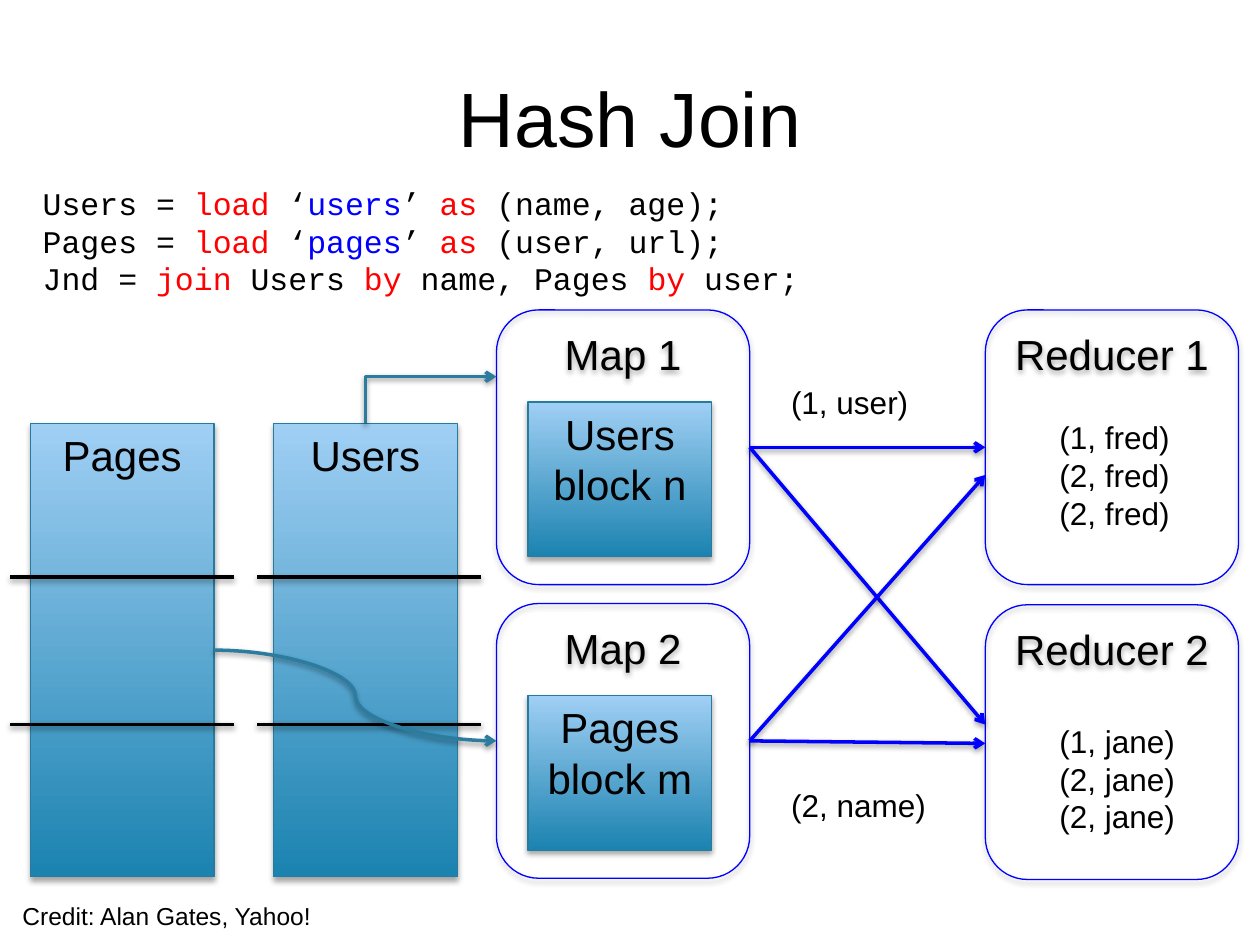
from lxml import etree
from pptx import Presentation
from pptx.dml.color import RGBColor
from pptx.enum.shapes import MSO_CONNECTOR, MSO_SHAPE
from pptx.enum.text import MSO_ANCHOR, MSO_AUTO_SIZE, PP_ALIGN
from pptx.oxml.ns import qn
from pptx.util import Inches, Pt

RECT, ROUND = MSO_SHAPE.RECTANGLE, MSO_SHAPE.ROUNDED_RECTANGLE
STRAIGHT, ELBOW, CURVE = MSO_CONNECTOR.STRAIGHT, MSO_CONNECTOR.ELBOW, MSO_CONNECTOR.CURVE
LEFT, CENTER = PP_ALIGN.LEFT, PP_ALIGN.CENTER
TOP, MIDDLE = MSO_ANCHOR.TOP, MSO_ANCHOR.MIDDLE
FIT_SHAPE = MSO_AUTO_SIZE.SHAPE_TO_FIT_TEXT
COLORS = {
    "text": "000000", "keyword": "FF0000", "string": "0000FF", "flow": "0000FF",
    "deep": "1B83B0", "light": "A0CFF4", "edge": "287A9E", "feed": "2C7C9F",
}
CODE = [
    [("Users = ", "text"), ("load", "keyword"), (" ‘", "text"), ("users", "string"),
     ("’ ", "text"), ("as", "keyword"), (" (name, age);", "text")],
    [("Pages = ", "text"), ("load", "keyword"), (" ‘", "text"), ("pages", "string"),
     ("’ ", "text"), ("as", "keyword"), (" (user, url);", "text")],
    [("Jnd = ", "text"), ("join", "keyword"), (" Users ", "text"), ("by", "keyword"),
     (" name, Pages ", "text"), ("by", "keyword"), (" user;", "text")],
]


def rgb(name):
    """Return the named colour."""
    return RGBColor.from_string(COLORS[name])


def add_run(p, text, size, font="Arial", color="text"):
    """Append a formatted run to a paragraph."""
    r = p.add_run()
    r.text = text
    for key, value in {"size": Pt(size), "name": font}.items():
        setattr(r.font, key, value)
    r.font.color.rgb = rgb(color)


def write(tf, lines, size, align):
    """Write one paragraph per line."""
    for i, line in enumerate(lines):
        p = tf.add_paragraph() if i else tf.paragraphs[0]
        p.alignment = align
        add_run(p, line, size)


def add_shadow(sp, alpha, distance):
    """Give a shape or connector a soft shadow falling straight down."""
    effects = etree.SubElement(sp._element.spPr, qn("a:effectLst"))
    shadow = etree.SubElement(effects, qn("a:outerShdw"), blurRad="40000",
                              dist=str(distance), dir="5400000", rotWithShape="0")
    color = etree.SubElement(shadow, qn("a:srgbClr"), val="000000")
    etree.SubElement(color, qn("a:alpha"), val=str(alpha * 1000))


def add_text(s, box, lines=(), size=18):
    """Add an unwrapped text box and return its text frame."""
    tf = s.shapes.add_textbox(*map(Inches, box)).text_frame
    for key, value in {"word_wrap": False, "auto_size": FIT_SHAPE}.items():
        setattr(tf, key, value)
    write(tf, lines, size, LEFT)
    return tf


def add_title(s, text):
    """Add the centred slide title."""
    tf = s.shapes.add_textbox(*map(Inches, (0.5, 0.3, 9, 1.25))).text_frame
    for key, value in {"word_wrap": True, "vertical_anchor": MIDDLE}.items():
        setattr(tf, key, value)
    write(tf, [text], 44, CENTER)


def add_code(s):
    """Add the coloured script as one paragraph with line breaks."""
    p = add_text(s, (0.24, 1.41, 6.41, 1.01)).paragraphs[0]
    for i, line in enumerate(CODE):
        if i:
            p.add_line_break()
        for text, color in line:
            add_run(p, text, 18, "Courier New", color)


def add_box(s, kind, box, lines, edge):
    """Add an outlined box with its label at the top."""
    sp = s.shapes.add_shape(kind, *map(Inches, box))
    sp.fill.background()
    sp.line.color.rgb = rgb(edge)
    sp.line.width = Pt(0.75)
    add_shadow(sp, 35, 23000)
    sp.text_frame.vertical_anchor = TOP
    write(sp.text_frame, lines, 24, CENTER)
    return sp


def add_data(s, box, lines):
    """Add a data block shaded from light to deep blue."""
    fill = add_box(s, RECT, box, lines, "edge").fill
    fill.gradient()
    fill.gradient_angle = 90
    for stop, color, position in zip(fill.gradient_stops, ("deep", "light"), (0, 1)):
        stop.color.rgb = rgb(color)
        stop.position = position


def add_line(s, start, end, color, kind=STRAIGHT, arrow=True):
    """Add a shadowed connector, with an arrowhead unless told otherwise."""
    c = s.shapes.add_connector(kind, *map(Inches, start + end))
    c.line.color.rgb = rgb(color)
    c.line.width = Pt(2)
    if arrow:
        etree.SubElement(c.line._get_or_add_ln(), qn("a:tailEnd"), type="arrow")
    add_shadow(c, 38, 20000)
    return c


def add_corner(s, start, end, color):
    """Add a one-bend arrow that goes up and then right."""
    x, y = (start[0] + end[0]) / 2, (start[1] + end[1]) / 2
    dx, dy = (start[1] - end[1]) / 2, (end[0] - start[0]) / 2
    c = add_line(s, (x + dx, y + dy), (x - dx, y - dy), color, ELBOW)
    c._element.spPr.find(qn("a:xfrm")).set("rot", "5400000")
    c._element.spPr.find(qn("a:prstGeom")).set("prst", "bentConnector2")


def main():
    """Build the slide."""
    prs = Presentation()
    prs.slide_width, prs.slide_height = Inches(10), Inches(7.5)
    s = prs.slides.add_slide(prs.slide_layouts[6])
    add_title(s, "Hash Join")
    for x, name in ((0.24, "Pages"), (2.17, "Users")):
        add_data(s, (x, 3.36, 1.46, 3.6), [name])
    add_code(s)
    for y in (4.58, 5.75):
        for x in (0.08, 2.04):
            add_line(s, (x, y), (x + 1.78, y), "text", arrow=False)
    for y, name, block in ((2.46, "Map 1", ["Users", "block n"]),
                           (4.79, "Map 2", ["Pages", "block m"])):
        add_box(s, ROUND, (3.94, y, 2.01, 2.18), [name], "flow")
        add_data(s, (4.19, y + 0.73, 1.46, 1.23), block)
    for y, name in ((2.46, "Reducer 1"), (4.8, "Reducer 2")):
        add_box(s, ROUND, (7.82, y, 2.01, 2.18), [name], "flow")
    for y, targets in ((3.55, (3.55, 5.75)), (5.88, (3.77, 5.9))):
        for target in targets:
            add_line(s, (5.95, y), (7.82, target), "flow")
    add_text(s, (6.18, 2.99, 1.14, 0.4), ["(1, user)"])
    add_text(s, (6.18, 6.19, 1.28, 0.4), ["(2, name)"])
    for y, width, name in ((3.27, 1.1, "fred"), (5.68, 1.15, "jane")):
        add_text(s, (8.31, y, width, 1.01), [f"({n}, {name})" for n in (1, 2, 2)])
    add_text(s, (0.08, 7.1, 2.51, 0.34), ["Credit: Alan Gates, Yahoo!"], 14)
    add_corner(s, (2.9, 3.36), (3.94, 2.99), "feed")
    add_line(s, (1.7, 5.16), (3.94, 5.88), "feed", CURVE)
    prs.save("out.pptx")


if __name__ == "__main__":
    main()
